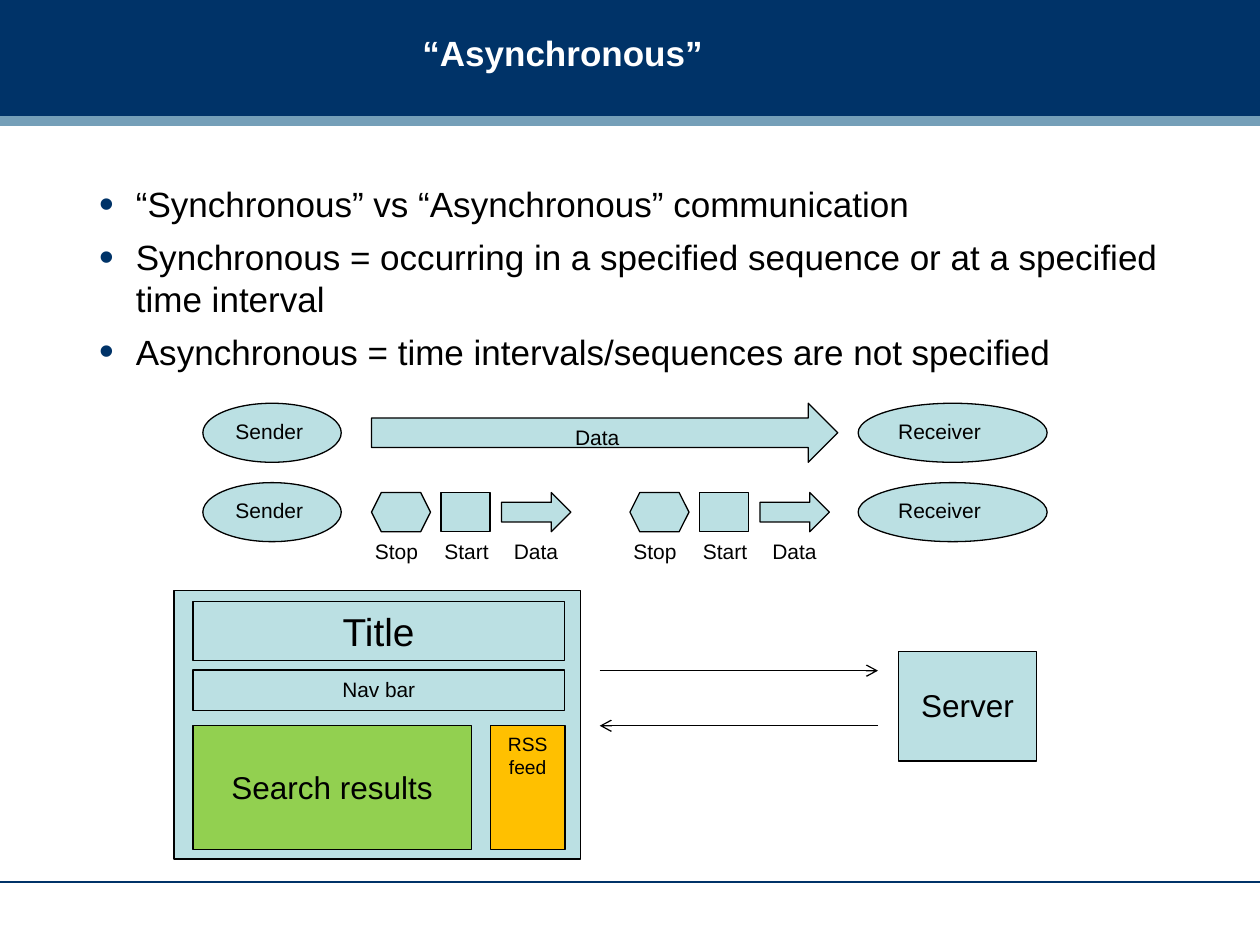
from lxml import etree
from pptx import Presentation
from pptx.dml.color import RGBColor
from pptx.enum.shapes import MSO_CONNECTOR, MSO_SHAPE as SHAPE
from pptx.enum.text import MSO_ANCHOR as ANCHOR, PP_ALIGN as ALIGN
from pptx.oxml.ns import qn
from pptx.util import Cm, Pt

COLORS = {
    "navy": "003368",
    "stripe": "759FB8",
    "aqua": "BBE0E3",
    "green": "92D050",
    "amber": "FFC000",
    "black": "000000",
    "white": "FFFFFF",
}
FONT = "Arial"
BULLETS = [
    "“Synchronous” vs “Asynchronous” communication",
    "Synchronous = occurring in a specified sequence or at a specified time interval",
    "Asynchronous = time intervals/sequences are not specified",
]


def rgb(name):
    return RGBColor.from_string(COLORS[name])


def add_run(p, text, size, color="black", bold=False):
    r = p.add_run()
    r.text = text
    r.font.name, r.font.size, r.font.bold = FONT, Pt(size), bold
    r.font.color.rgb = rgb(color)


def add_box(slide, kind, x, y, w, h, fill="aqua", line="black"):
    sp = slide.shapes.add_shape(kind, Cm(x), Cm(y), Cm(w), Cm(h))
    sp.shadow.inherit = False
    sp.fill.solid()
    sp.fill.fore_color.rgb = rgb(fill)
    if line:
        sp.line.color.rgb = rgb(line)
        sp.line.width = Pt(0.75)
    else:
        sp.line.fill.background()
    return sp


def add_text(sp, text, size=12, align=ALIGN.CENTER, top=0.13):
    """Write into a shape from its top edge, with the given top inset in cm."""
    tf = sp.text_frame
    tf.word_wrap = True
    tf.vertical_anchor = ANCHOR.TOP
    tf.margin_top = Cm(top)
    p = tf.paragraphs[0]
    p.alignment = align
    add_run(p, text, size)


def add_label(slide, text, x, y):
    tb = slide.shapes.add_textbox(Cm(x), Cm(y), Cm(1.4), Cm(0.76))
    tb.text_frame.word_wrap = False
    add_run(tb.text_frame.paragraphs[0], text, 12)


def add_line(slide, x1, y1, x2, y2, color="black", arrow=False):
    cx = slide.shapes.add_connector(
        MSO_CONNECTOR.STRAIGHT, Cm(x1), Cm(y1), Cm(x2), Cm(y2))
    cx.line.color.rgb = rgb(color)
    cx.line.width = Pt(0.75)
    if arrow:
        etree.SubElement(cx.line._get_or_add_ln(), qn("a:tailEnd"), type="arrow")
    etree.SubElement(cx._element.spPr, qn("a:effectLst"))


def add_header(slide):
    add_box(slide, SHAPE.RECTANGLE, 0, 0, 25.4, 2.34, "navy", None)
    add_line(slide, 0, 17.78, 25.4, 17.78, "navy")
    add_box(slide, SHAPE.RECTANGLE, 0, 2.34, 25.4, 0.2, "stripe", None)
    title = slide.shapes.title
    slide.shapes._spTree.append(title._element)  # in front of the band
    title.left, title.top, title.width, title.height = Cm(8.26), Cm(0), Cm(16.71), Cm(2.11)
    title.text_frame.vertical_anchor = ANCHOR.MIDDLE
    p = title.text_frame.paragraphs[0]
    p.alignment = ALIGN.LEFT
    add_run(p, "“Asynchronous”", 20, "white", True)


def set_bullet(p):
    pPr = p._p.get_or_add_pPr()
    indent = Cm(0.74)
    pPr.set("marL", str(indent))
    pPr.set("indent", str(-indent))
    color = etree.SubElement(pPr, qn("a:buClr"))
    etree.SubElement(color, qn("a:srgbClr"), val=COLORS["navy"])
    etree.SubElement(pPr, qn("a:buSzPct"), val="120000")
    etree.SubElement(pPr, qn("a:buFont"), typeface=FONT)
    etree.SubElement(pPr, qn("a:buChar"), char="•")


def add_bullets(slide):
    tb = slide.shapes.add_textbox(Cm(1.75), Cm(3.56), Cm(22.86), Cm(12.57))
    tf = tb.text_frame
    tf.word_wrap = True
    for i, text in enumerate(BULLETS):
        p = tf.add_paragraph() if i else tf.paragraphs[0]
        set_bullet(p)
        if i:
            p.space_before = Pt(6.2)
        add_run(p, text, 20)


def add_endpoints(slide, y):
    for name, x, w in (("Sender", 4.09, 2.79), ("Receiver", 17.3, 3.81)):
        add_text(add_box(slide, SHAPE.OVAL, x, y, w, 1.19), name, align=ALIGN.LEFT)


def add_packet(slide, x):
    """Stop, start and data symbols with their labels below."""
    parts = (
        ("Stop", SHAPE.HEXAGON, 0, 1.19),
        ("Start", SHAPE.RECTANGLE, 1.4, 0.99),
        ("Data", SHAPE.RIGHT_ARROW, 2.62, 1.4),
    )
    for i, (name, kind, dx, w) in enumerate(parts):
        add_box(slide, kind, x + dx, 9.93, w, 0.79)
        add_label(slide, name, x - 0.18 + 1.4 * i, 10.73)


def add_page_and_server(slide):
    add_box(slide, SHAPE.RECTANGLE, 3.51, 11.91, 8.2, 5.41)
    panels = (
        ("Title", 22.2, 3.89, 12.12, 7.49, 1.19, "aqua", 0.13),
        ("Nav bar", 11.9, 3.89, 13.51, 7.49, 0.81, "aqua", 0.13),
        ("Search results", 18, 3.89, 14.63, 5.61, 2.49, "green", 0.86),
        ("RSS feed", 11, 9.89, 14.63, 1.5, 2.49, "amber", 0.13),
        ("Server", 18, 18.11, 13.13, 2.79, 2.21, "aqua", 0.7),
    )
    for text, size, x, y, w, h, fill, top in panels:
        sp = add_box(slide, SHAPE.RECTANGLE, x, y, w, h, fill)
        add_text(sp, text, size, top=top)
    left, right = 12.09, 17.7
    add_line(slide, left, 13.52, right, 13.52, arrow=True)
    add_line(slide, right, 14.63, left, 14.63, arrow=True)


def main():
    prs = Presentation()
    prs.slide_width, prs.slide_height = Cm(25.4), Cm(19.05)
    slide = prs.slides.add_slide(prs.slide_layouts[5])
    add_header(slide)
    add_bullets(slide)
    for y in (8.13, 9.73):
        add_endpoints(slide, y)
    add_text(add_box(slide, SHAPE.RIGHT_ARROW, 7.49, 8.13, 9.4, 1.19), "Data")
    for x in (7.49, 12.7):
        add_packet(slide, x)
    add_page_and_server(slide)
    prs.save("out.pptx")


if __name__ == "__main__":
    main()
